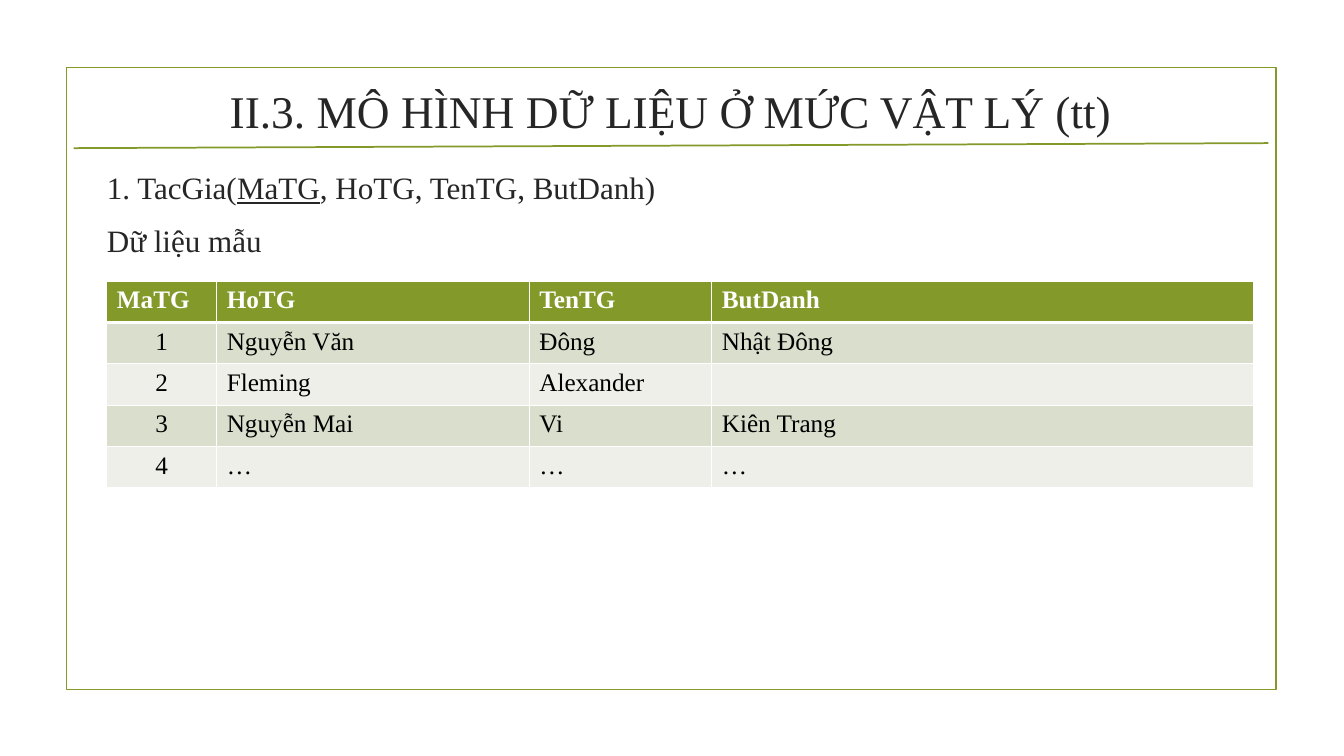
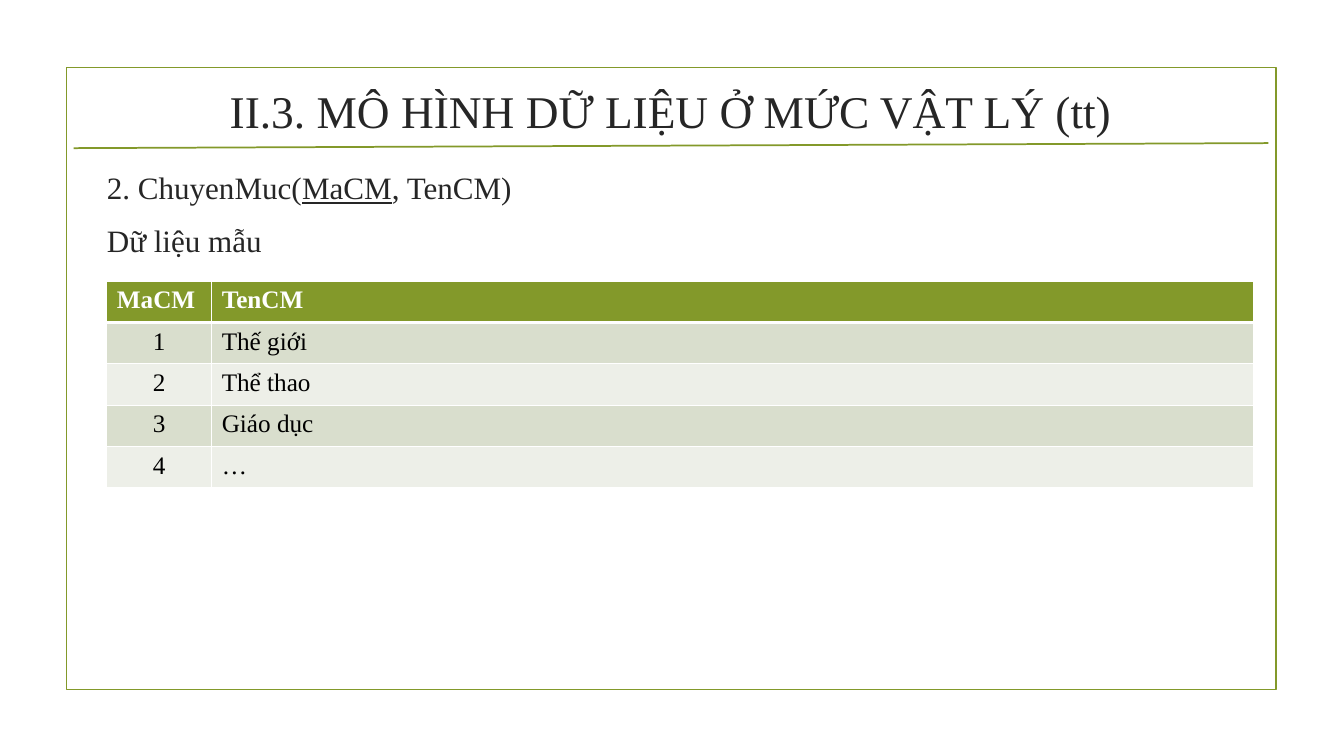
"""Build two slides that show sample data for relational tables."""

from dataclasses import dataclass

from lxml.etree import SubElement
from pptx import Presentation
from pptx.dml.color import RGBColor
from pptx.enum.shapes import MSO_CONNECTOR, MSO_SHAPE
from pptx.enum.text import MSO_ANCHOR, MSO_AUTO_SIZE, PP_ALIGN
from pptx.oxml import parse_xml
from pptx.oxml.ns import nsdecls, qn
from pptx.slide import Slide, SlideLayout
from pptx.util import Emu, Pt

EMU_PER_PX = 9144
FONT = "Times New Roman"
COLORS = {
    "accent": "83992A",
    "ink": "262626",
    "cell": "000000",
    "white": "FFFFFF",
    "odd_row": "D9DECD",
    "even_row": "EDEFE8",
}
TITLE = "II.3. MÔ HÌNH DỮ LIỆU Ở MỨC VẬT LÝ (tt)"
CAPTION = "Dữ liệu mẫu"
ROW_HEIGHT = 41
GRID_WIDTH = 1.0
HEADER_RULE_WIDTH = 3.0


@dataclass(frozen=True)
class Box:
    """Place and size in px."""

    left: int
    top: int
    width: int
    height: int

    def emu(self) -> tuple[Emu, Emu, Emu, Emu]:
        """Return the four lengths in EMU."""
        return px(self.left), px(self.top), px(self.width), px(self.height)


@dataclass(frozen=True)
class Relation:
    """A relation with its key, column widths in px and sample rows."""

    number: int
    name: str
    fields: tuple[str, ...]
    widths: tuple[int, ...]
    records: tuple[tuple[str, ...], ...]


FRAME_BOX = Box(66, 67, 1200, 617)
TITLE_BOX = Box(72, 76, 1186, 67)
SCHEMA_BOX = Box(96, 162, 1148, 104)
TABLE_LEFT, TABLE_TOP = 106, 279

RELATIONS = (
    Relation(
        1,
        "TacGia",
        ("MaTG", "HoTG", "TenTG", "ButDanh"),
        (109, 310, 181, 537),
        (
            ("1", "Nguyễn Văn", "Đông", "Nhật Đông"),
            ("2", "Fleming", "Alexander", ""),
            ("3", "Nguyễn Mai", "Vi", "Kiên Trang"),
            ("4", "…", "…", "…"),
        ),
    ),
    Relation(
        2,
        "ChuyenMuc",
        ("MaCM", "TenCM"),
        (104, 1033),
        (("1", "Thế giới"), ("2", "Thể thao"), ("3", "Giáo dục"), ("4", "…")),
    ),
)


def px(length: int) -> Emu:
    """Turn px into EMU."""
    return Emu(length * EMU_PER_PX)


def rgb(name: str) -> RGBColor:
    """Look up a named colour."""
    return RGBColor.from_string(COLORS[name])


def write(paragraph, text: str, *, size: float, color: str = "ink",
          bold: bool = False, underline: bool = False,
          align: PP_ALIGN = PP_ALIGN.LEFT) -> None:
    """Add a formatted run to a paragraph."""
    paragraph.alignment = align
    if not text:
        return
    run = paragraph.add_run()
    run.text = text
    run.font.name = FONT
    run.font.size = Pt(size)
    run.font.bold = bold
    run.font.underline = underline
    run.font.color.rgb = rgb(color)


def place(placeholder, box: Box) -> None:
    """Move a placeholder to a box."""
    (placeholder.left, placeholder.top,
     placeholder.width, placeholder.height) = box.emu()


def prepare_layout(layout: SlideLayout) -> None:
    """Place the layout's title and body and drop its footers."""
    for placeholder in list(layout.placeholders):
        index = placeholder.placeholder_format.idx
        if index > 1:
            placeholder.element.getparent().remove(placeholder.element)
        else:
            place(placeholder, SCHEMA_BOX if index else TITLE_BOX)


def draw_frame(slide: Slide, layout: SlideLayout) -> None:
    """Draw the frame and title rule and hand them to the layout."""
    frame = slide.shapes.add_shape(MSO_SHAPE.RECTANGLE, *FRAME_BOX.emu())
    frame.shadow.inherit = False
    frame.fill.background()
    rule = slide.shapes.add_connector(
        MSO_CONNECTOR.STRAIGHT, px(73), px(147), px(1258), px(142))
    SubElement(rule.element.spPr, qn("a:effectLst"))
    for position, part in enumerate((frame, rule), start=2):
        part.line.color.rgb = rgb("accent")
        part.line.width = Pt(1.25)
        layout.shapes.element.insert(position, part.element)


def write_title(slide: Slide) -> None:
    """Fill the title placeholder."""
    heading = slide.shapes.title.text_frame
    heading.auto_size = MSO_AUTO_SIZE.NONE
    heading.vertical_anchor = MSO_ANCHOR.MIDDLE
    write(heading.paragraphs[0], TITLE, size=32.4, align=PP_ALIGN.CENTER)


def write_schema(slide: Slide, relation: Relation) -> None:
    """Fill the body with the relation's schema and the caption."""
    body = slide.placeholders[1].text_frame
    body.auto_size = MSO_AUTO_SIZE.NONE
    key, *others = relation.fields
    schema, caption = body.paragraphs[0], body.add_paragraph()
    write(schema, f"{relation.number}. {relation.name}(", size=22.2)
    write(schema, key, size=22.2, underline=True)
    write(schema, f", {', '.join(others)})", size=22.2)
    write(caption, CAPTION, size=22.2)
    for paragraph in (schema, caption):
        paragraph.space_before = Pt(5)
        paragraph.space_after = Pt(6)
        properties = paragraph.runs[0].font and paragraph.runs[0]._r.getparent().pPr
        properties.set("marL", "0")
        properties.set("indent", "0")
        SubElement(properties, qn("a:buNone"))


def draw_borders(table_element) -> None:
    """Give every cell white borders, thicker below the header."""
    for row, line in enumerate(table_element.iter(qn("a:tr"))):
        for properties in line.iter(qn("a:tcPr")):
            widths = {
                "lnL": GRID_WIDTH,
                "lnR": GRID_WIDTH,
                "lnT": HEADER_RULE_WIDTH if row == 1 else GRID_WIDTH,
                "lnB": HEADER_RULE_WIDTH if row == 0 else GRID_WIDTH,
            }
            for position, (side, width) in enumerate(widths.items()):
                properties.insert(position, parse_xml(
                    f'<a:{side} {nsdecls("a")} w="{Pt(width)}"><a:solidFill>'
                    f'<a:srgbClr val="{COLORS["white"]}"/></a:solidFill></a:{side}>'))


def draw_records(slide: Slide, relation: Relation) -> None:
    """Draw the table of sample rows."""
    rows = (relation.fields, *relation.records)
    box = Box(TABLE_LEFT, TABLE_TOP, sum(relation.widths), ROW_HEIGHT * len(rows))
    holder = slide.shapes.add_table(len(rows), len(relation.fields), *box.emu())
    table = holder.table
    table.horz_banding = False
    for column, width in zip(table.columns, relation.widths):
        column.width = px(width)
    for r, values in enumerate(rows):
        header = r == 0
        fill = "accent" if header else "odd_row" if r % 2 else "even_row"
        for c, value in enumerate(values):
            cell = table.cell(r, c)
            cell.fill.solid()
            cell.fill.fore_color.rgb = rgb(fill)
            centred = c == 0 and not header
            write(cell.text_frame.paragraphs[0], value, size=18, bold=header,
                  color="white" if header else "cell",
                  align=PP_ALIGN.CENTER if centred else PP_ALIGN.LEFT)
    draw_borders(holder.element)


def main() -> None:
    """Build and save the presentation."""
    deck = Presentation()
    deck.slide_width, deck.slide_height = px(1333), px(750)
    layout = deck.slide_layouts[1]
    prepare_layout(layout)
    for number, relation in enumerate(RELATIONS):
        slide = deck.slides.add_slide(layout)
        if number == 0:
            draw_frame(slide, layout)
        write_title(slide)
        write_schema(slide, relation)
        draw_records(slide, relation)
    deck.save("out.pptx")


if __name__ == "__main__":
    main()
